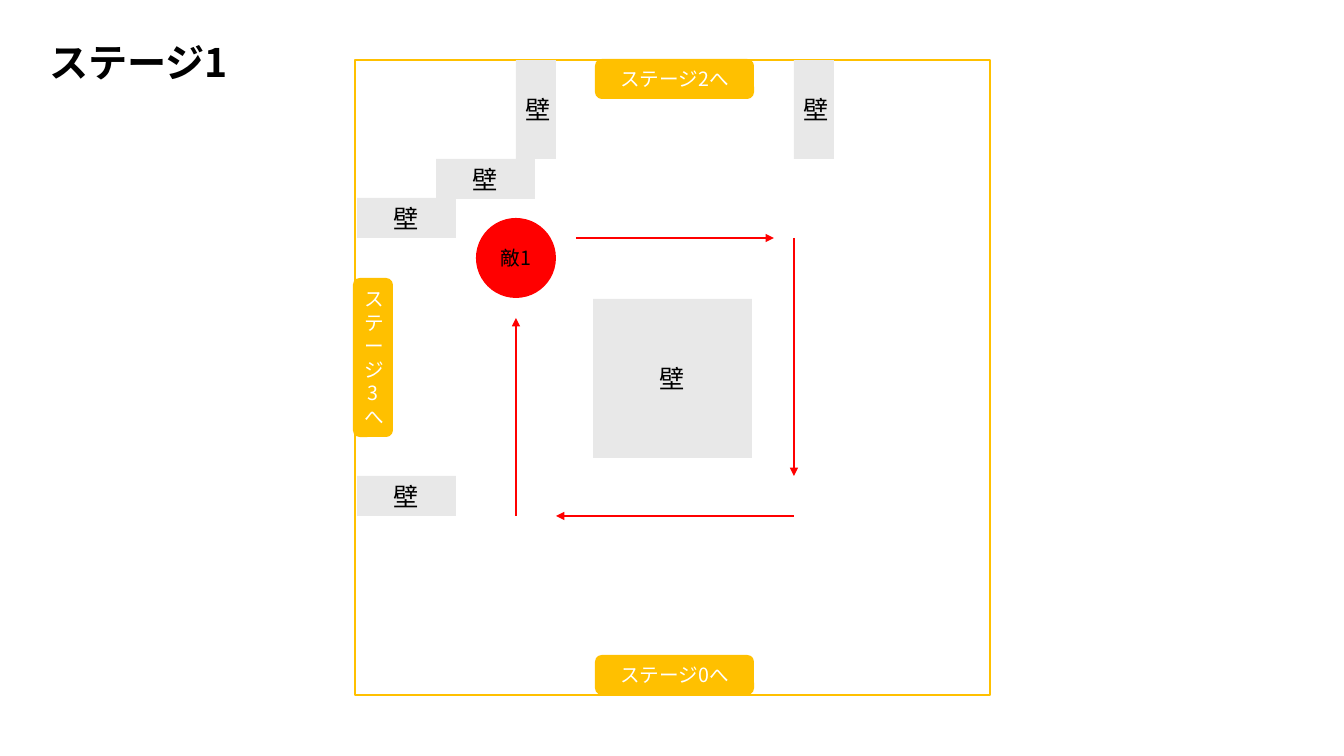
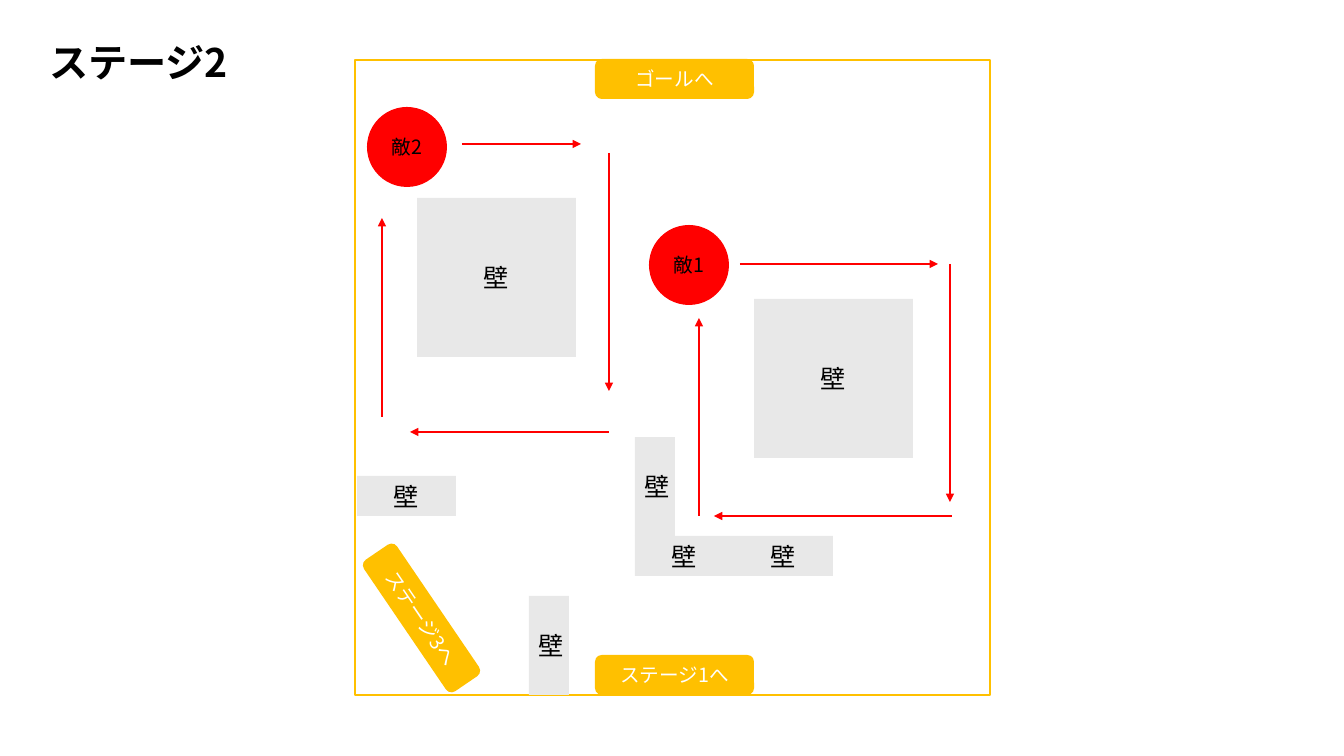
from lxml import etree
from pptx import Presentation
from pptx.dml.color import RGBColor
from pptx.enum import shapes, text
from pptx.oxml import ns
from pptx.util import Emu, Pt

FACE = "Noto Sans CJK JP"
GOLD, GREY, RED, BLACK, WHITE = "FFC000", "E8E8E8", "FF0000", "000000", "FFFFFF"
KIND = shapes.MSO_SHAPE
SCALE = 914400 / 100.8


def paint(fmt, hue):
    fmt.solid()
    fmt.fore_color.rgb = RGBColor.from_string(hue)


def write(shape, words, hue, size, bold=False, align="CENTER", anchor="MIDDLE"):
    frame = shape.text_frame
    look = {
        "word_wrap": True,
        "auto_size": text.MSO_AUTO_SIZE.NONE,
        "vertical_anchor": getattr(text.MSO_ANCHOR, anchor),
    }
    for key, val in look.items():
        setattr(frame, key, val)
    para = frame.paragraphs[0]
    para.alignment = getattr(text.PP_ALIGN, align)
    run = para.add_run()
    run.text = words
    paint(run.font.fill, hue)
    for key, val in {"name": FACE, "size": Pt(size), "bold": bold}.items():
        setattr(run.font, key, val)
    etree.SubElement(run.font._element, ns.qn("a:ea"), typeface=FACE)


FIELD = (355, 60, 635, 635)
TITLE = {"left": 39, "top": 39, "width": 278, "height": 80}
GATE, SIDE = (159, 40), (40, 159)
WIDE, TALL, BLOCK, ROUND = (99, 40), (40, 99), (159, 159), (80, 80)
NORTH, SOUTH = (595, 59), (595, 655)

stages = [
    {
        "title": "ステージ1",
        "gates": [
            ("ステージ2へ", NORTH, GATE, 0),
            ("ステージ3へ", (353, 278), SIDE, 0),
            ("ステージ0へ", SOUTH, GATE, 0),
        ],
        "walls": [
            (WIDE, [(357, 198), (357, 476), (436, 159)]),
            (TALL, [(794, 60), (516, 60)]),
            (BLOCK, [(593, 299)]),
        ],
        "foes": [("敵1", (476, 218))],
        "moves": [
            (576, 238, 774, 238),
            (794, 238, 794, 476),
            (794, 516, 556, 516),
            (516, 516, 516, 318),
        ],
    },
    {
        "title": "ステージ2",
        "gates": [
            ("ゴールへ", NORTH, GATE, 0),
            ("ステージ3へ", (342, 598), GATE, 55.8),
            ("ステージ1へ", SOUTH, GATE, 0),
        ],
        "walls": [
            (WIDE, [(734, 536), (357, 476), (635, 536)]),
            (TALL, [(635, 437), (529, 596)]),
            (BLOCK, [(754, 299), (417, 198)]),
        ],
        "foes": [("敵1", (649, 225)), ("敵2", (367, 107))],
        "moves": [
            (740, 264, 938, 264),
            (950, 264, 950, 502),
            (952, 516, 714, 516),
            (699, 516, 699, 318),
            (462, 144, 581, 144),
            (609, 153, 609, 391),
            (609, 432, 410, 432),
            (382, 417, 382, 218),
        ],
    },
]

deck = Presentation()
deck.slide_width, deck.slide_height = Emu(round(1344 * SCALE)), Emu(round(756 * SCALE))

for stage in stages:
    slide = deck.slides.add_slide(deck.slide_layouts[5])
    title = slide.shapes.title
    for key, val in TITLE.items():
        setattr(title, key, round(val * SCALE))
    write(title, stage["title"], BLACK, 28, True, "LEFT", "TOP")
    title.text_frame.paragraphs[0].line_spacing = 0.9

    field = slide.shapes.add_shape(KIND.RECTANGLE, *[round(n * SCALE) for n in FIELD])
    field.shadow.inherit = False
    field.fill.background()
    paint(field.line.fill, GOLD)
    field.line.width = Pt(1.5)

    parts = [
        (KIND.ROUNDED_RECTANGLE, spot, size, turn, GOLD, words, WHITE, 14)
        for words, spot, size, turn in stage["gates"]
    ]
    parts += [
        (KIND.RECTANGLE, spot, size, 0, GREY, "壁", BLACK, 18)
        for size, spots in stage["walls"]
        for spot in spots
    ]
    parts += [
        (KIND.FLOWCHART_CONNECTOR, spot, ROUND, 0, RED, words, BLACK, 14)
        for words, spot in stage["foes"]
    ]
    for kind, spot, size, turn, hue, words, ink, points in parts:
        part = slide.shapes.add_shape(kind, *[round(n * SCALE) for n in spot + size])
        part.shadow.inherit = False
        part.rotation = turn
        paint(part.fill, hue)
        part.line.fill.background()
        write(part, words, ink, points)

    for move in stage["moves"]:
        ends = [round(n * SCALE) for n in move]
        arrow = slide.shapes.add_connector(shapes.MSO_CONNECTOR.STRAIGHT, *ends)
        paint(arrow.line.fill, RED)
        arrow.line.width = Pt(1.5)
        props = arrow._element.spPr
        etree.SubElement(props.find(ns.qn("a:ln")), ns.qn("a:tailEnd"), type="triangle")
        etree.SubElement(props, ns.qn("a:effectLst"))

deck.save("out.pptx")
